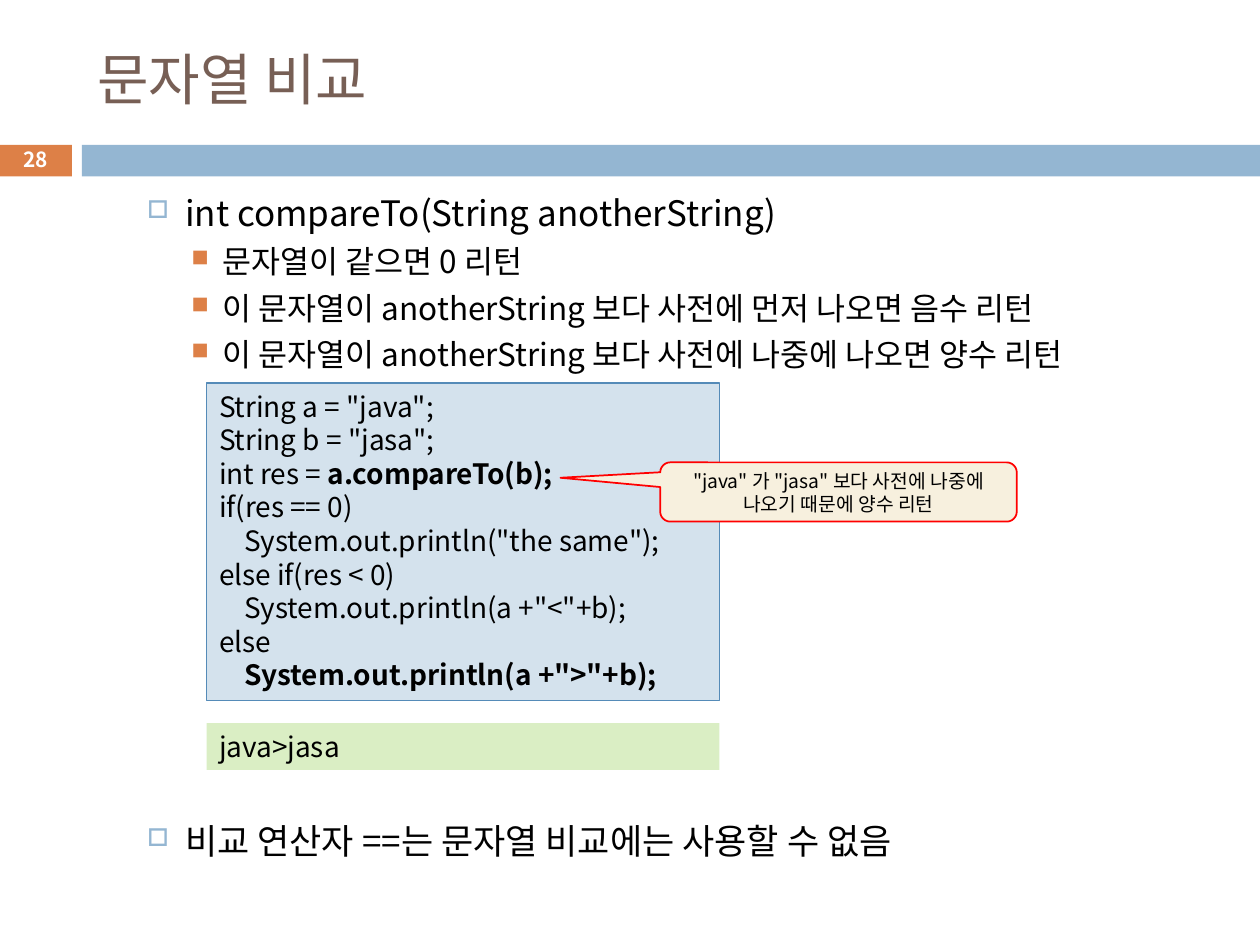
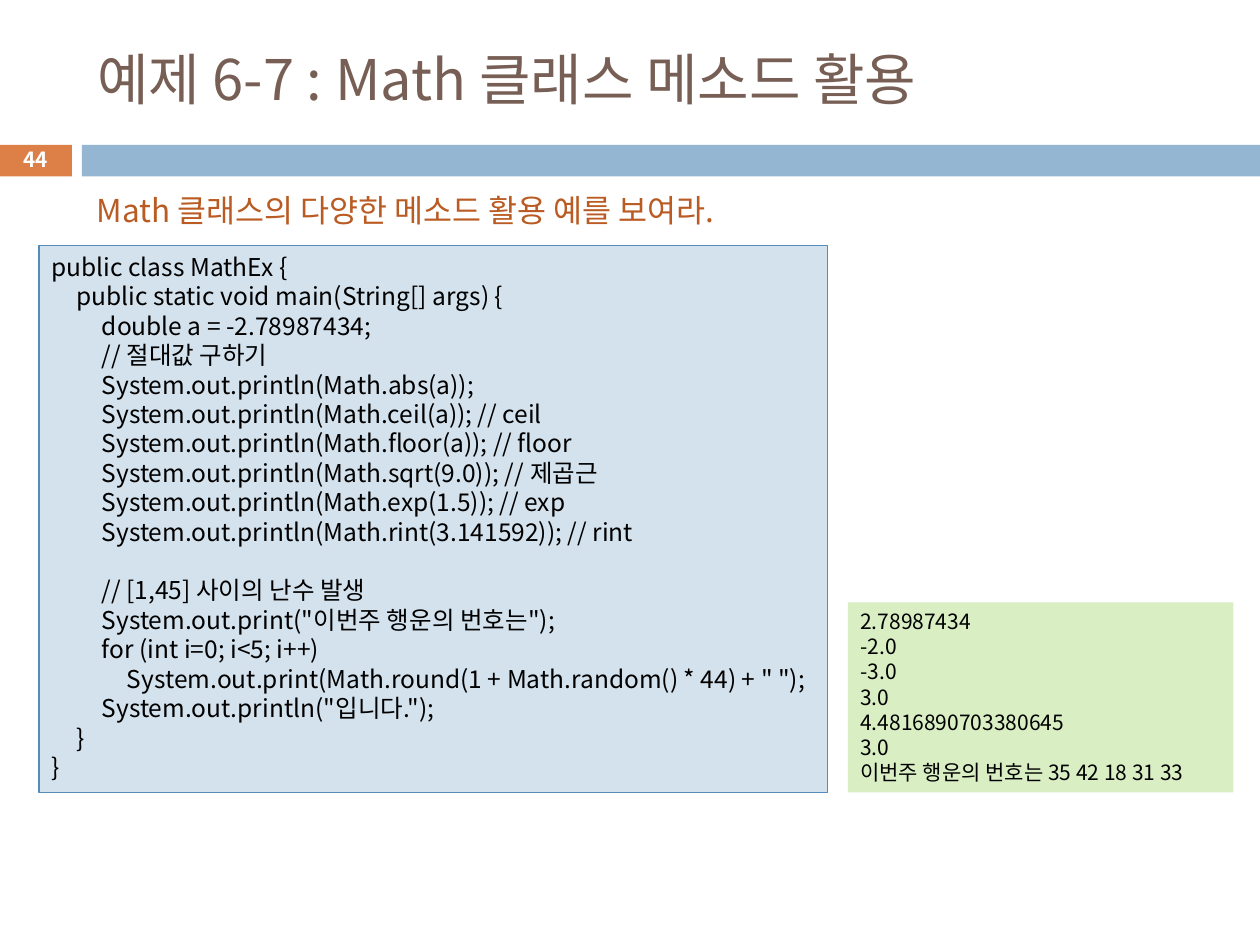
from lxml import etree
from pptx import Presentation
from pptx.dml.color import RGBColor
from pptx.enum import shapes, text
from pptx.oxml import ns
from pptx.util import Inches, Pt

FONT = "Noto Sans CJK KR"
BLACK = RGBColor(0x00, 0x00, 0x00)
WHITE = RGBColor(0xFF, 0xFF, 0xFF)
BROWN = RGBColor(0x77, 0x5F, 0x55)
ORANGE = RGBColor(0xDD, 0x80, 0x47)
RUST = RGBColor(0xB9, 0x5B, 0x22)
BLUE = RGBColor(0x94, 0xB6, 0xD2)
PALE = RGBColor(0xD4, 0xE2, 0xED)
EDGE = RGBColor(0x55, 0x8B, 0xB8)
GREEN = RGBColor(0xDA, 0xEE, 0xC4)
CREAM = RGBColor(0xF7, 0xF0, 0xDE)
RED = RGBColor(0xFF, 0x00, 0x00)

LEFT, CENTER = text.PP_ALIGN.LEFT, text.PP_ALIGN.CENTER
TOP, MIDDLE = text.MSO_ANCHOR.TOP, text.MSO_ANCHOR.MIDDLE
RECT = shapes.MSO_SHAPE.RECTANGLE
TAB = 0.2
# level: left margin, hanging indent, bullet, its colour, its percent, text size, space before
LEVELS = {
    1: (0.7, 0.3, "□", BLUE, 70, 20, 5.5),
    2: (1.0, 0.25, "■", ORANGE, 75, 18, 5),
}

COMPARE = '''String a = "java";
String b = "jasa";
int res = **a.compareTo(b);
if(res == 0)
	System.out.println("the same");
else if(res < 0)
	System.out.println(a +"<"+b);
else
	**System.out.println(a +">"+b);'''

MATH = '''public class MathEx {
	public static void main(String[] args) {
		double a = -2.78987434;
		// 절대값 구하기
		System.out.println(Math.abs(a));
		System.out.println(Math.ceil(a)); // ceil
		System.out.println(Math.floor(a)); // floor
		System.out.println(Math.sqrt(9.0)); // 제곱근
		System.out.println(Math.exp(1.5)); // exp
		System.out.println(Math.rint(3.141592)); // rint

		// [1,45] 사이의 난수 발생
		System.out.print("이번주 행운의 번호는");
		for (int i=0; i<5; i++)
			System.out.print(Math.round(1 + Math.random() * 44) + " ");
		System.out.println("입니다.");
	}
}'''

RESULT = '''2.78987434
-2.0
-3.0
3.0
4.4816890703380645
3.0
이번주 행운의 번호는 35 42 18 31 33'''


def add_run(para, words, size, color, bold):
    run = para.add_run()
    run.text = words
    font = run.font
    font.name, font.size, font.bold = FONT, Pt(size), bold
    font.color.rgb = color
    east = etree.SubElement(font._element, ns.qn("a:ea"))
    east.set("typeface", FONT)


def write(shape, words, size=16, color=BLACK, bold=False, align=LEFT,
          anchor=TOP, wrap=True):
    """Fill a shape line by line: tabs indent, ** starts bold, an empty line is a gap."""
    frame = shape.text_frame
    frame.word_wrap = wrap
    frame.auto_size = text.MSO_AUTO_SIZE.NONE
    frame.vertical_anchor = anchor
    para, gap = None, 0
    for line in words.split("\n"):
        if not line:
            gap += size * 1.2
            continue
        para = frame.add_paragraph() if para else frame.paragraphs[0]
        para.alignment = align
        para.space_before = Pt(gap)
        gap = 0
        code = line.lstrip("\t")
        set_margin(para, TAB * (len(line) - len(code)))
        for i, part in enumerate(code.split("**")):
            if part:
                add_run(para, part, size, color, bold or i == 1)


def set_margin(para, left, hang=0):
    props = para._p.get_or_add_pPr()
    props.set("marL", str(Inches(left)))
    props.set("indent", str(-Inches(hang)))
    return props


def add_box(slide, place, fill, line=None, width=0.75, kind=RECT):
    box = slide.shapes.add_shape(kind, *map(Inches, place))
    box.shadow.inherit = False
    box.fill.solid()
    box.fill.fore_color.rgb = fill
    if line is None:
        box.line.fill.background()
    else:
        box.line.color.rgb = line
        box.line.width = Pt(width)
    return box


def add_label(slide, place, words, **look):
    write(slide.shapes.add_textbox(*map(Inches, place)), words, **look)


def add_code(slide, place, words, size):
    write(add_box(slide, place, PALE, EDGE), words, size=size)


def add_output(slide, place, words, size, wrap=True):
    write(add_box(slide, place, GREEN), words, size=size, wrap=wrap)


def add_callout(slide, place, words, tip):
    kind = shapes.MSO_SHAPE.ROUNDED_RECTANGULAR_CALLOUT
    box = add_box(slide, place, CREAM, RED, 1, kind)
    for i, value in enumerate((*tip, 0.17)):
        box.adjustments[i] = value
    write(box, words, size=11, align=CENTER, anchor=MIDDLE)


def add_bullets(slide, place, items):
    """Write (level, words, extra space before) items as a bulleted list."""
    frame = slide.shapes.add_textbox(*map(Inches, place)).text_frame
    frame.word_wrap = True
    for i, (level, words, extra) in enumerate(items):
        left, hang, mark, color, share, size, space = LEVELS[level]
        para = frame.add_paragraph() if i else frame.paragraphs[0]
        props = set_margin(para, left, hang)
        para.space_before = Pt(space + extra)
        tint = etree.SubElement(props, ns.qn("a:buClr"))
        etree.SubElement(tint, ns.qn("a:srgbClr")).set("val", str(color))
        scale = etree.SubElement(props, ns.qn("a:buSzPct"))
        scale.set("val", str(share * 1000))
        etree.SubElement(props, ns.qn("a:buChar")).set("char", mark)
        add_run(para, words, size, BLACK, False)


def add_slide(deck, title, number):
    """Add a slide with the title, the two bands and the page number."""
    slide = deck.slides.add_slide(deck.slide_layouts[5])
    head = slide.shapes.title
    head.left, head.top, head.width, head.height = map(Inches, (0.67, 0.25, 8.92, 0.74))
    write(head, title, size=32, color=BROWN, anchor=MIDDLE)
    add_box(slide, (-0.01, 1.15, 0.58, 0.25), ORANGE)
    add_box(slide, (0.65, 1.15, 9.35, 0.25), BLUE)
    add_label(slide, (-0.01, 1.13, 0.58, 0.27), str(number), size=11.9,
              color=WHITE, bold=True, align=CENTER, anchor=MIDDLE)
    return slide


def add_compare(deck):
    slide = add_slide(deck, "문자열 비교", 28)
    add_bullets(slide, (0.67, 1.47, 8.92, 5.51), [
        (1, "int compareTo(String anotherString)", 0),
        (2, "문자열이 같으면 0 리턴", 0),
        (2, "이 문자열이 anotherString 보다 사전에 먼저 나오면 음수 리턴", 0),
        (2, "이 문자열이 anotherString 보다 사전에 나중에 나오면 양수 리턴", 0),
        (1, "비교 연산자 ==는 문자열 비교에는 사용할 수 없음", 249.5),
    ])
    add_code(slide, (1.64, 3.04, 4.07, 2.52), COMPARE, 16)
    add_output(slide, (1.64, 5.74, 4.07, 0.37), "java>jasa", 16)
    add_callout(slide, (5.24, 3.67, 2.83, 0.47),
                '"java" 가 "jasa" 보다 사전에 나중에 나오기 때문에 양수 리턴',
                (-0.78, -0.24))


def add_math(deck):
    slide = add_slide(deck, "예제 6-7 : Math 클래스 메소드 활용", 44)
    add_code(slide, (0.31, 1.95, 6.26, 4.34), MATH, 14)
    add_label(slide, (0.67, 1.47, 5.61, 0.4),
              "Math 클래스의 다양한 메소드 활용 예를 보여라.",
              size=18, color=RUST, wrap=False)
    add_output(slide, (6.73, 4.78, 3.06, 1.51), RESULT, 12, wrap=False)


def main():
    deck = Presentation()
    deck.slide_width, deck.slide_height = Inches(10), Inches(7.5)
    add_compare(deck)
    add_math(deck)
    deck.save("out.pptx")


if __name__ == "__main__":
    main()
